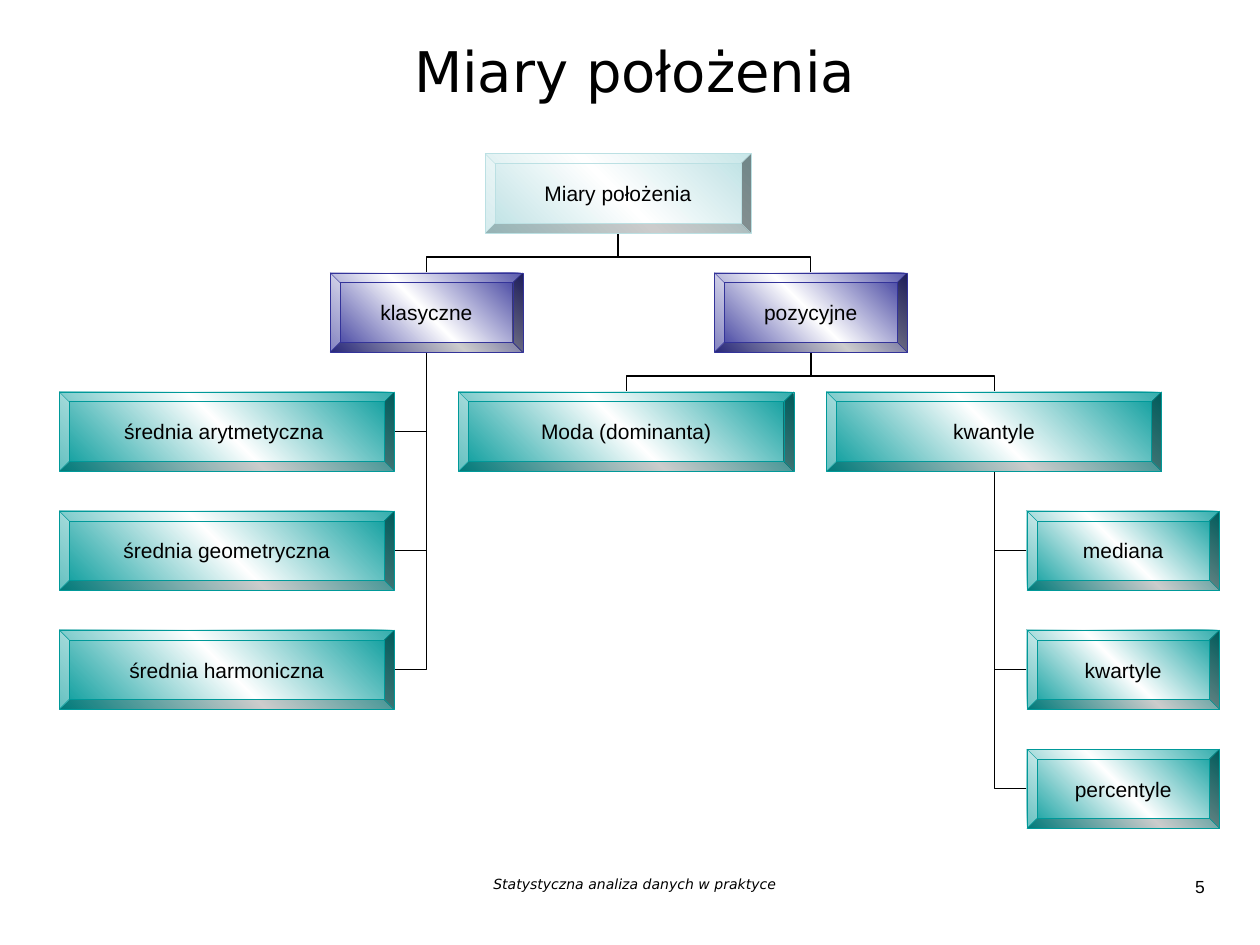
from copy import deepcopy

from lxml.etree import SubElement
from pptx import Presentation
from pptx.dml.color import RGBColor
from pptx.enum.shapes import MSO_CONNECTOR, MSO_SHAPE
from pptx.enum.text import MSO_ANCHOR, PP_ALIGN
from pptx.oxml.ns import qn
from pptx.util import Inches, Pt

# Theme: colours, fonts, type sizes, line widths
theme = {
    "ink": RGBColor.from_string("000000"),
    "root": RGBColor.from_string("BBE0E3"),
    "group": RGBColor.from_string("333399"),
    "leaf": RGBColor.from_string("009999"),
    "shine": RGBColor.from_string("FFFFFF"),
    "head": "DejaVu Sans", "body": "Arial",
    "title": Pt(32), "label": Pt(12), "page": Pt(10), "foot": Pt(8),
    "edge": Pt(0.25), "wire": Pt(0.75),
}

deck = Presentation()
deck.slide_width, deck.slide_height = Inches(10), Inches(7.5)
slide = deck.slides.add_slide(deck.slide_layouts[6])
shapes = slide.shapes


def write(shape, text, face, size, align, frame, italic=False):
    for name, value in frame.items():
        setattr(shape.text_frame, name, value)
    line = shape.text_frame.paragraphs[0]
    line.alignment = align
    run = line.add_run()
    run.text = text
    style = {"name": theme[face], "size": theme[size], "italic": italic}
    for name, value in style.items():
        setattr(run.font, name, value)
    run.font.color.rgb = theme["ink"]


def bend(left, top, width, height, kind, turn, ratio=None):
    wire = shapes.add_connector(
        MSO_CONNECTOR.ELBOW, Inches(left), Inches(top),
        Inches(left + width), Inches(top + height))
    wire.line.color.rgb = theme["ink"]
    wire.line.width = theme["wire"]
    props = wire._element.spPr
    for name, value in turn.items():
        props.find(qn("a:xfrm")).set(name, value)
    form = props.find(qn("a:prstGeom"))
    form.set("prst", kind)
    if ratio:
        guide = SubElement(form.find(qn("a:avLst")), qn("a:gd"))
        guide.set("name", "adj1")
        guide.set("fmla", f"val {round(ratio * 100000)}")
    SubElement(props, qn("a:effectLst"))


# Title, footer and page number
plain = {"word_wrap": True, "vertical_anchor": MSO_ANCHOR.TOP}
middle = {"word_wrap": True, "vertical_anchor": MSO_ANCHOR.MIDDLE}
notes = [
    ("Statystyczna analiza danych w praktyce", (2.01, 6.9, 6.06, 0.31),
     "head", "foot", PP_ALIGN.CENTER, plain, True),
    ("5", (9.02, 6.9, 0.64, 0.31),
     "body", "page", PP_ALIGN.RIGHT, plain, False),
    ("Miary położenia", (1.3, 0.21, 7.48, 0.69),
     "head", "title", PP_ALIGN.CENTER, middle, False),
]
for text, place, *style in notes:
    box = shapes.add_textbox(*map(Inches, place))
    write(box, text, *style)

# Tree: text, left, row, width, colour, parent, branch style
first, pitch, tall = 1.22, 0.945, 0.63
wide, small = 2.66, 1.53
nodes = [
    ("Miary położenia", 3.85, 0, 2.11, "root", None, None),
    ("klasyczne", 2.62, 1, small, "group", 0, "fork"),
    ("pozycyjne", 5.67, 1, small, "group", 0, "fork"),
    ("średnia arytmetyczna ", 0.47, 2, wide, "leaf", 1, "left"),
    ("średnia geometryczna", 0.47, 3, wide, "leaf", 1, "left"),
    ("średnia harmoniczna", 0.47, 4, wide, "leaf", 1, "left"),
    ("Moda (dominanta)", 3.64, 2, wide, "leaf", 2, "fork"),
    ("kwantyle", 6.56, 2, wide, "leaf", 2, "fork"),
    ("mediana", 8.15, 3, small, "leaf", 7, "right"),
    ("kwartyle", 8.15, 4, small, "leaf", 7, "right"),
    ("percentyle", 8.15, 5, small, "leaf", 7, "right"),
]

# Branches, drawn below the boxes
for text, left, row, width, tone, above, branch in reversed(nodes):
    if above is None:
        continue
    start, level, span = nodes[above][1:4]
    stem = start + span / 2
    base = first + level * pitch + tall
    top = first + row * pitch
    mid = top + tall / 2
    if branch == "left":
        edge = left + width
        bend(edge, base, stem - edge, mid - base,
             "bentConnector2", {"flipV": "1"})
    elif branch == "right":
        bend(stem, base, left - stem, mid - base,
             "bentConnector2", {"rot": "10800000"})
    else:
        # A quarter turn swaps the sides of the frame around its centre
        end = left + width / 2
        drop, reach = top - base, abs(end - stem)
        turn = ({"rot": "16200000", "flipV": "1"} if end > stem
                else {"rot": "5400000", "flipH": "1", "flipV": "1"})
        bend((end + stem - drop) / 2, (top + base - reach) / 2, drop, reach,
             "bentConnector3", turn, 0.4)

# Boxes with a bright diagonal band
snug = {
    "word_wrap": False, "vertical_anchor": MSO_ANCHOR.MIDDLE,
    "margin_left": Inches(0.07), "margin_right": Inches(0.07),
    "margin_top": Inches(0.03), "margin_bottom": Inches(0.03),
}
for text, left, row, width, tone, above, branch in nodes:
    box = shapes.add_shape(
        MSO_SHAPE.BEVEL, Inches(left), Inches(first + row * pitch),
        Inches(width), Inches(tall))
    box.shadow.inherit = False
    box.adjustments[0] = 0.125
    box.line.color.rgb = theme[tone]
    box.line.width = theme["edge"]
    box.fill.gradient()
    box.fill.gradient_angle = 225
    stops = box._element.spPr.find(qn("a:gradFill")).find(qn("a:gsLst"))
    stops.insert(1, deepcopy(stops[0]))
    bands = zip(box.fill.gradient_stops, (0, 0.5, 1), (tone, "shine", tone))
    for stop, spot, shade in bands:
        stop.position = spot
        stop.color.rgb = theme[shade]
    write(box, text, "body", "label", PP_ALIGN.CENTER, snug)

deck.save("out.pptx")
